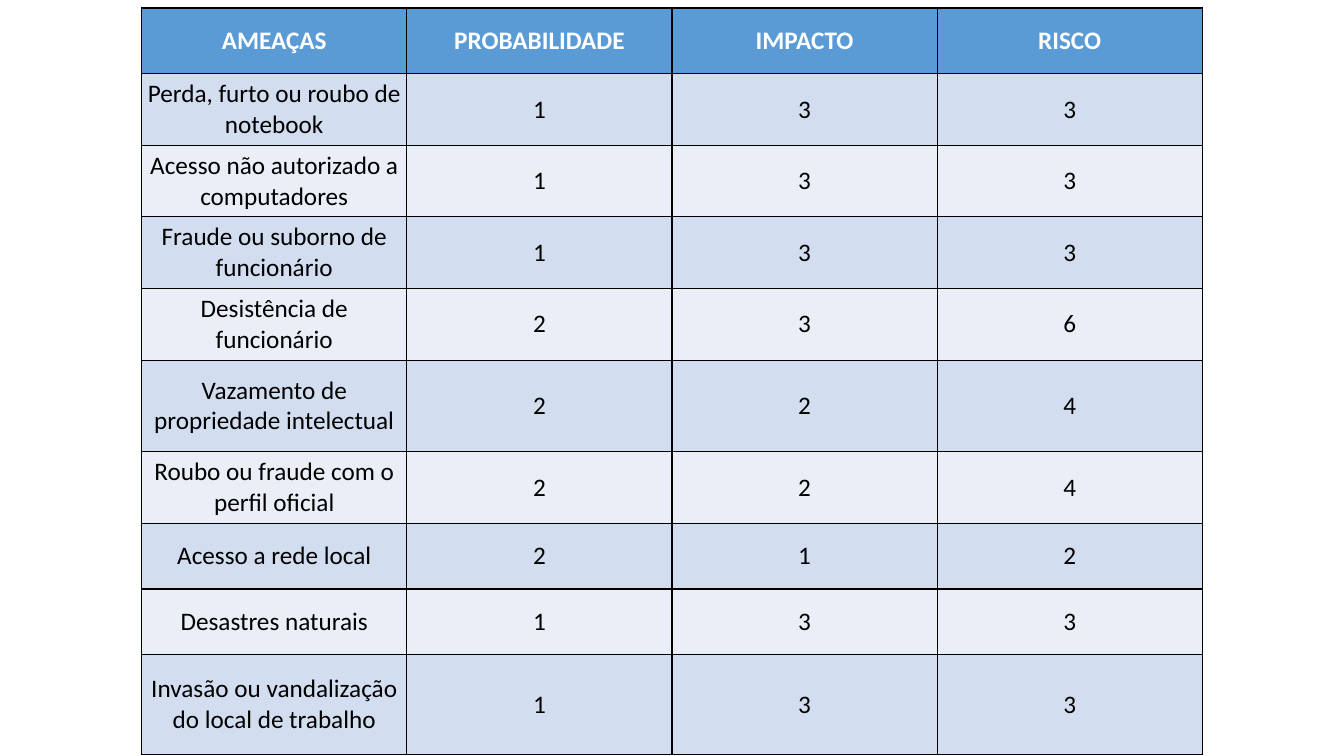
from lxml import etree
from pptx import Presentation
from pptx.dml.color import RGBColor
from pptx.enum.text import MSO_ANCHOR, PP_ALIGN
from pptx.oxml.ns import qn
from pptx.util import Inches, Pt

MIDDLE = MSO_ANCHOR.MIDDLE
CENTER = PP_ALIGN.CENTER

BLUE = RGBColor(0x5B, 0x9B, 0xD5)
BAND = RGBColor(0xD2, 0xDE, 0xEF)
PALE = RGBColor(0xEA, 0xEF, 0xF7)
WHITE = RGBColor(0xFF, 0xFF, 0xFF)
BLACK = RGBColor(0x00, 0x00, 0x00)

FONT = "Calibri"
SIZE = Pt(18)
INSET = Inches(0.05)
BORDER = Pt(1)

# Row heights in inches: one line, two lines, roomy two lines, three lines
ONE, TWO, ROOMY, THREE = 0.65, 0.69, 0.91, 0.99

HEADS = ["AMEAÇAS", "PROBABILIDADE", "IMPACTO", "RISCO"]

# Threat, probability, impact, row height
THREATS = [
    ("Perda, furto ou roubo de notebook", 1, 3, TWO),
    ("Acesso não autorizado a computadores", 1, 3, TWO),
    ("Fraude ou suborno de funcionário", 1, 3, TWO),
    ("Desistência de funcionário", 2, 3, TWO),
    ("Vazamento de propriedade intelectual", 2, 2, ROOMY),
    ("Roubo ou fraude com o perfil oficial", 2, 2, TWO),
    ("Acesso a rede local", 2, 1, ONE),
    ("Desastres naturais", 1, 3, ONE),
    ("Invasão ou vandalização do local de trabalho", 1, 3, THREE),
]


def add_border(cell):
    props = cell._tc.get_or_add_tcPr()
    for side in ("a:lnL", "a:lnR", "a:lnT", "a:lnB"):
        line = etree.SubElement(props, qn(side), w=str(BORDER))
        fill = etree.SubElement(line, qn("a:solidFill"))
        etree.SubElement(fill, qn("a:srgbClr"), val=str(BLACK))


def fill_cell(cell, text, back, color, bold):
    add_border(cell)
    cell.fill.solid()
    cell.fill.fore_color.rgb = back
    cell.vertical_anchor = MIDDLE
    cell.margin_left = cell.margin_right = INSET
    cell.margin_top = cell.margin_bottom = INSET
    para = cell.text_frame.paragraphs[0]
    para.alignment = CENTER
    run = para.add_run()
    run.text = text
    run.font.name = FONT
    run.font.size = SIZE
    run.font.bold = bold
    run.font.color.rgb = color


def add_risks(slide, left, top, width):
    # Risk is probability times impact
    rows = [HEADS] + [[name, str(prob), str(hit), str(prob * hit)]
                      for name, prob, hit, _ in THREATS]
    tall = [Inches(ONE)] + [Inches(threat[-1]) for threat in THREATS]
    table = slide.shapes.add_table(
        len(rows), len(HEADS), left, top, width, sum(tall)).table

    for column in table.columns:
        column.width = width // len(HEADS)

    # Header row, then alternating bands
    for r, texts in enumerate(rows):
        table.rows[r].height = tall[r]
        head = r == 0
        back = BLUE if head else BAND if r % 2 else PALE
        color = WHITE if head else BLACK
        for c, text in enumerate(texts):
            fill_cell(table.cell(r, c), text, back, color, head)


def main():
    deck = Presentation()
    deck.slide_width = Inches(13.33)
    deck.slide_height = Inches(7.5)
    slide = deck.slides.add_slide(deck.slide_layouts[6])

    # Risk table, centred on the slide
    width = Inches(10.52)
    add_risks(slide, (deck.slide_width - width) // 2, Inches(0.08), width)
    deck.save("out.pptx")


if __name__ == "__main__":
    main()
